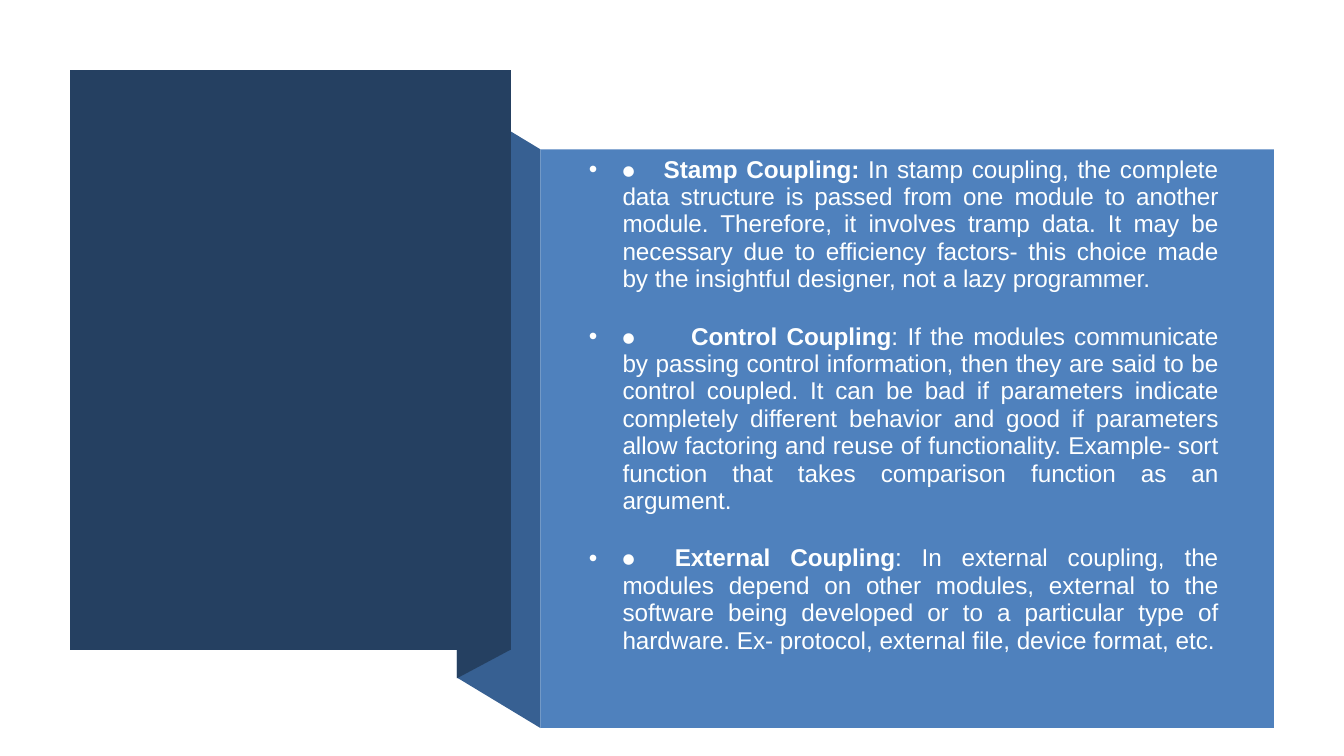
import pptx
import pptx.util
import pptx.dml.color
import pptx.enum.shapes
import pptx.enum.text
import pptx.oxml
import pptx.oxml.ns

Pt = pptx.util.Pt

COLOURS = {"navy": "254061", "fold": "376092", "panel": "4F81BD", "text": "FEFFFF"}
FONT = "Arial"
FONT_SIZE = 13
SPACE_WIDTH = 3.61

COUPLINGS = [
    (3, "Stamp Coupling:",
     " In stamp coupling, the complete data structure is passed from one module to another module. "
     "Therefore, it involves tramp data. It may be necessary due to efficiency factors- this choice "
     "made by the insightful designer, not a lazy programmer."),
    (7, "Control Coupling",
     ": If the modules communicate by passing control information, then they are said to be control "
     "coupled. It can be bad if parameters indicate completely different behavior and good if "
     "parameters allow factoring and reuse of functionality. Example- sort function that takes "
     "comparison function as an argument."),
    (3, "External Coupling",
     ": In external coupling, the modules depend on other modules, external to the software being "
     "developed or to a particular type of hardware. Ex- protocol, external file, device format, etc."),
]

LEFT, TOP, RIGHT, BOTTOM = 37.5, 37.5, 273.7, 348
FOLD_LEFT, PANEL_LEFT, PANEL_TOP = 244.8, 289.5, 80
PANEL_WIDTH, PANEL_HEIGHT = 393, 310
PANEL_BOTTOM = PANEL_TOP + PANEL_HEIGHT

OUTLINES = [
    ("fold", [(PANEL_LEFT, PANEL_BOTTOM), (FOLD_LEFT, 363), (FOLD_LEFT, 53), (PANEL_LEFT, PANEL_TOP)]),
    ("navy", [(RIGHT, BOTTOM), (FOLD_LEFT, 363.4), (FOLD_LEFT, 53), (RIGHT, TOP)]),
    ("navy", [(LEFT, TOP), (RIGHT, TOP), (RIGHT, BOTTOM), (LEFT, BOTTOM)]),
]


def paint(shape, colour):
    shape.fill.solid()
    shape.fill.fore_color.rgb = pptx.dml.color.RGBColor.from_string(COLOURS[colour])
    shape.line.fill.background()
    shape.shadow.inherit = False


def add_outline(page, colour, corners):
    points = [(Pt(x), Pt(y)) for x, y in corners]
    builder = page.shapes.build_freeform(*points[0])
    builder.add_line_segments(points[1:], close=True)
    paint(builder.convert_to_shape(), colour)


def add_bullet(para):
    properties = para._p.get_or_add_pPr()
    properties.set("marL", str(Pt(18)))
    properties.set("indent", str(-Pt(18)))
    namespace = pptx.oxml.ns.nsdecls("a")
    for markup in (f'<a:buFont {namespace} typeface="{FONT}"/>', f'<a:buChar {namespace} char="•"/>'):
        properties.append(pptx.oxml.parse_xml(markup))


def write_coupling(para, gap, term, meaning):
    para.alignment = pptx.enum.text.PP_ALIGN.JUSTIFY
    para.line_spacing = 0.94
    para.space_before = Pt(10)
    para.space_after = Pt(6)
    add_bullet(para)
    for text, bold in (("⦁", False), (" ", False), (term, True), (meaning, False)):
        span = para.add_run()
        span.text = text
        span.font.name = FONT
        span.font.size = Pt(FONT_SIZE)
        span.font.bold = bold
        span.font.color.rgb = pptx.dml.color.RGBColor.from_string(COLOURS["text"])
    para.runs[0]._r.get_or_add_rPr().set("spc", str(round(gap * SPACE_WIDTH * 100)))


def main():
    deck = pptx.Presentation()
    deck.slide_width, deck.slide_height = Pt(720), Pt(405)
    page = deck.slides.add_slide(deck.slide_layouts[0])
    title = page.shapes.title
    title._element.getparent().remove(title._element)

    for colour, corners in OUTLINES:
        add_outline(page, colour, corners)
    panel = page.shapes.add_shape(
        pptx.enum.shapes.MSO_SHAPE.RECTANGLE,
        Pt(PANEL_LEFT), Pt(PANEL_TOP), Pt(PANEL_WIDTH), Pt(PANEL_HEIGHT))
    paint(panel, "panel")

    box = page.placeholders[1]
    box.left, box.top, box.width, box.height = Pt(308.3), Pt(101.5), Pt(351.4), Pt(256.3)
    panel._element.addnext(box._element)
    frame = box.text_frame
    frame.word_wrap = True
    frame.auto_size = pptx.enum.text.MSO_AUTO_SIZE.NONE
    frame.vertical_anchor = pptx.enum.text.MSO_ANCHOR.MIDDLE
    frame.margin_bottom = Pt(28.6)
    for number, coupling in enumerate(COUPLINGS):
        para = frame.add_paragraph() if number else frame.paragraphs[0]
        write_coupling(para, *coupling)

    deck.save("out.pptx")


if __name__ == "__main__":
    main()
